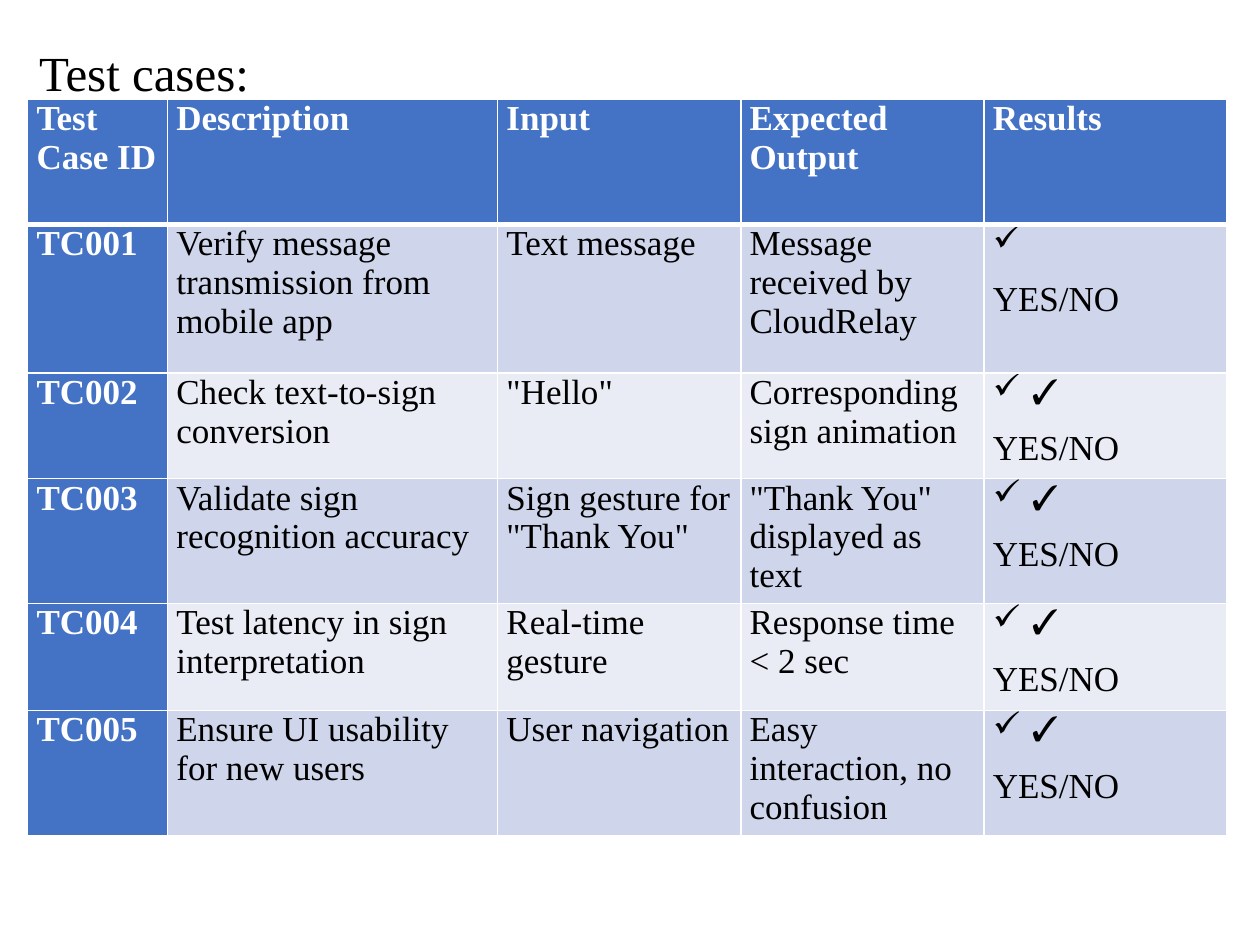
from lxml.etree import SubElement
from pptx import Presentation
from pptx.dml.color import RGBColor
from pptx.enum.text import MSO_ANCHOR, MSO_AUTO_SIZE, PP_ALIGN
from pptx.oxml.ns import qn
from pptx.util import Inches, Pt

FONT = "Times New Roman"
BLACK = RGBColor(0x00, 0x00, 0x00)
WHITE = RGBColor(0xFF, 0xFF, 0xFF)
BLUE = RGBColor(0x44, 0x72, 0xC4)
BAND_DARK = RGBColor(0xCF, 0xD5, 0xEA)
BAND_LIGHT = RGBColor(0xE9, 0xEB, 0xF5)

CHECK = "✓"
COL_WIDTHS = [1.11, 2.62, 1.93, 1.93, 1.93]
ROW_HEIGHTS = [0.99, 1.18, 0.84, 0.99, 0.85, 0.99]
HEADERS = ["Test Case ID", "Description", "Input", "Expected Output", "Results"]
TEST_CASES = [
    ("TC001", "Verify message transmission from mobile app", "Text message",
     "Message received by CloudRelay", " "),
    ("TC002", "Check text-to-sign conversion", '"Hello"',
     "Corresponding sign animation", CHECK),
    ("TC003", "Validate sign recognition accuracy", 'Sign gesture for "Thank You"',
     '"Thank You" displayed as text', CHECK),
    ("TC004", "Test latency in sign interpretation", "Real-time gesture",
     "Response time < 2 sec", CHECK),
    ("TC005", "Ensure UI usability for new users", "User navigation",
     "Easy interaction, no confusion", CHECK),
]


def write(p, text, size=20, color=BLACK, bold=False, align=PP_ALIGN.LEFT, spacing=None):
    """Write one formatted run into a paragraph."""
    p.alignment = align
    p.space_after = Pt(10)
    if spacing:
        p.line_spacing = spacing
    r = p.add_run()
    r.text = text
    r.font.name = FONT
    r.font.size = Pt(size)
    r.font.bold = bold
    r.font.color.rgb = color


def add_bullet(p, char, indent=0.31):
    """Give a paragraph a hanging bullet."""
    pPr = p._p.get_or_add_pPr()
    pPr.set("marL", str(Inches(indent)))
    pPr.set("indent", str(-Inches(indent)))
    SubElement(pPr, qn("a:buChar"), char=char)


def style_cell(cell, fill, top=1, bottom=1):
    """Set the margins, white borders and fill of a cell."""
    cell.margin_left = cell.margin_right = Inches(0.07)
    cell.margin_top = cell.margin_bottom = 0
    tcPr = cell._tc.get_or_add_tcPr()
    for side, width in (("L", 1), ("R", 1), ("T", top), ("B", bottom)):
        ln = SubElement(tcPr, qn(f"a:ln{side}"), w=str(Pt(width)))
        SubElement(SubElement(ln, qn("a:solidFill")), qn("a:srgbClr"), val=str(WHITE))
    cell.fill.solid()
    cell.fill.fore_color.rgb = fill


def add_title(s, text):
    """Place and format the slide title."""
    title = s.shapes.title
    title.left, title.top = Inches(0.21), Inches(0.05)
    title.width, title.height = Inches(5), Inches(0.66)
    tf = title.text_frame
    tf.word_wrap = True
    tf.auto_size = MSO_AUTO_SIZE.NONE
    tf.vertical_anchor = MSO_ANCHOR.TOP
    write(tf.paragraphs[0], text, size=28, align=PP_ALIGN.JUSTIFY, spacing=1.5)


def fill_result(cell, mark):
    """Write the check mark and the verdict of a test case."""
    tf = cell.text_frame
    write(tf.paragraphs[0], mark, align=PP_ALIGN.JUSTIFY)
    add_bullet(tf.paragraphs[0], CHECK)
    write(tf.add_paragraph(), "YES/NO", align=PP_ALIGN.JUSTIFY)


def add_test_table(s):
    """Add the table of test cases."""
    table = s.shapes.add_table(
        len(ROW_HEIGHTS), len(COL_WIDTHS), Inches(0.22), Inches(0.79),
        Inches(sum(COL_WIDTHS)), Inches(sum(ROW_HEIGHTS))).table
    for col, width in zip(table.columns, COL_WIDTHS):
        col.width = Inches(width)
    for row, height in zip(table.rows, ROW_HEIGHTS):
        row.height = Inches(height)

    last = len(HEADERS) - 1
    for i, values in enumerate([HEADERS, *TEST_CASES]):
        band = BAND_DARK if i % 2 else BAND_LIGHT
        for j, text in enumerate(values):
            cell = table.cell(i, j)
            heading = i == 0 or j == 0
            style_cell(cell, BLUE if heading else band,
                       top=3 if i == 1 else 1, bottom=3 if i == 0 else 1)
            if j == last and not heading:
                fill_result(cell, text)
            else:
                write(cell.text_frame.paragraphs[0], text, bold=heading,
                      color=WHITE if heading else BLACK,
                      align=PP_ALIGN.JUSTIFY if j == last else PP_ALIGN.LEFT)


def main():
    """Build the test case slide."""
    prs = Presentation()
    prs.slide_width, prs.slide_height = Inches(10), Inches(7.5)
    s = prs.slides.add_slide(prs.slide_layouts[5])
    add_test_table(s)
    add_title(s, "Test cases:")
    prs.save("out.pptx")


if __name__ == "__main__":
    main()
